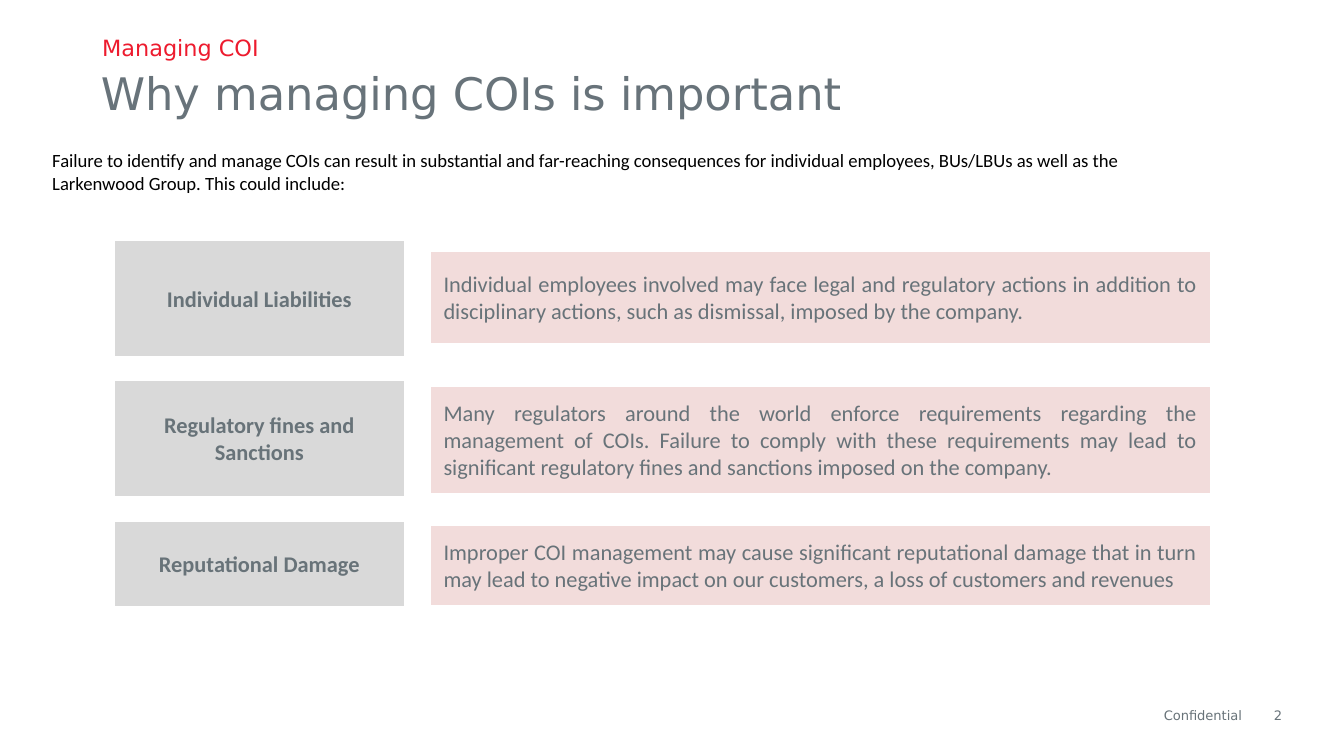
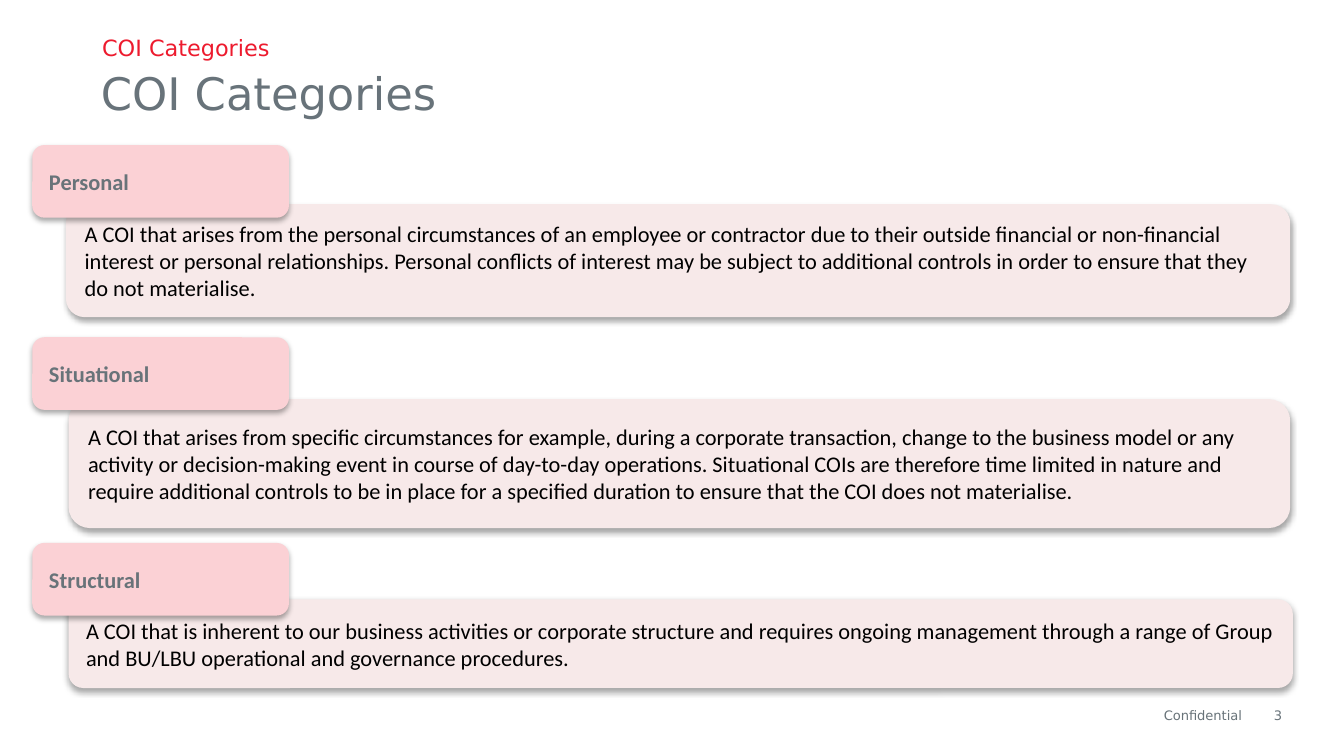
from lxml.etree import SubElement
from pptx import Presentation
from pptx.dml.color import RGBColor
from pptx.enum.shapes import MSO_SHAPE
from pptx.enum.text import MSO_ANCHOR, MSO_AUTO_SIZE, PP_ALIGN
from pptx.oxml.ns import qn
from pptx.util import Inches, Pt

SLATE = RGBColor(0x68, 0x73, 0x79)
TITLE_SLATE = RGBColor(0x68, 0x73, 0x7A)
RED = RGBColor(0xED, 0x1B, 0x2E)
BLACK = RGBColor(0, 0, 0)
LABEL_GREY = RGBColor(0xD9, 0xD9, 0xD9)
DETAIL_PINK = RGBColor(0xF2, 0xDC, 0xDB)
PANEL_PINK = RGBColor(0xF7, 0xE9, 0xE9)
TAB_PINK = RGBColor(0xFB, 0xD1, 0xD5)

HEADING_FONT = "DejaVu Sans"
BODY_FONT = "Calibri"
CELL_BORDERS = {"a:lnL": 1, "a:lnR": 1, "a:lnT": 1, "a:lnB": 3}

INTRODUCTION = (
    "Failure to identify and manage COIs can result in substantial and far-reaching "
    "consequences for individual employees, BUs/LBUs as well as the Larkenwood Group. "
    "This could include:"
)

CONSEQUENCES = [
    ("Individual Liabilities", (1.79, 0.88),
     "Individual employees involved may face legal and regulatory actions in addition to "
     "disciplinary actions, such as dismissal, imposed by the company.", (1.87, 0.7)),
    ("Regulatory fines and Sanctions", (2.83, 0.88),
     "Many regulators around the world enforce requirements regarding the management of COIs. "
     "Failure to comply with these requirements may lead to significant regulatory fines and "
     "sanctions imposed on the company.", (2.87, 0.82)),
    ("Reputational Damage", (3.88, 0.65),
     "Improper COI management may cause significant reputational damage that in turn may lead "
     "to negative impact on our customers, a loss of customers and revenues", (3.91, 0.61)),
]

CATEGORIES = [
    ("Personal", 1.08, (0.49, 1.52, 9.11, 0.84),
     "A COI that arises from the personal circumstances of an employee or contractor due to "
     "their outside financial or non-financial interest or personal relationships. Personal "
     "conflicts of interest may be subject to additional controls in order to ensure that they "
     "do not materialise."),
    ("Situational", 2.51, (0.51, 2.97, 9.09, 0.96),
     "A COI that arises from specific circumstances for example, during a corporate "
     "transaction, change to the business model or any activity or decision-making event in "
     "course of day-to-day operations. Situational COIs are therefore time limited in nature "
     "and require additional controls to be in place for a specified duration to ensure that "
     "the COI does not materialise."),
    ("Structural", 4.04, (0.51, 4.46, 9.11, 0.66),
     "A COI that is inherent to our business activities or corporate structure and requires "
     "ongoing management through a range of Group and BU/LBU operational and governance "
     "procedures."),
]


def to_inches(box):
    return [Inches(length) for length in box]


def write(text_frame, text, size, color, font=BODY_FONT, bold=False,
          align=PP_ALIGN.LEFT, line_spacing=None):
    paragraph = text_frame.paragraphs[0]
    paragraph.alignment = align
    if line_spacing:
        paragraph.line_spacing = Pt(line_spacing)
    run = paragraph.add_run()
    run.text = text
    run.font.name = font
    run.font.size = Pt(size)
    run.font.bold = bold
    run.font.color.rgb = color
    return paragraph


def clear_margins(text_frame, left=0):
    text_frame.margin_left = Inches(left)
    text_frame.margin_top = text_frame.margin_right = text_frame.margin_bottom = 0


def fill_placeholder(placeholder, box, text, size, color, line_spacing, left_margin=0):
    placeholder.left, placeholder.top, placeholder.width, placeholder.height = to_inches(box)
    text_frame = placeholder.text_frame
    clear_margins(text_frame, left_margin)
    text_frame.auto_size = MSO_AUTO_SIZE.NONE
    text_frame.vertical_anchor = MSO_ANCHOR.TOP
    paragraph = write(text_frame, text, size, color, HEADING_FONT, line_spacing=line_spacing)
    paragraph.space_before = Pt(0)
    return paragraph


def add_footer_text(slide, box, text, color, align):
    text_frame = slide.shapes.add_textbox(*to_inches(box)).text_frame
    clear_margins(text_frame)
    text_frame.word_wrap = False
    text_frame.auto_size = MSO_AUTO_SIZE.SHAPE_TO_FIT_TEXT
    write(text_frame, text, 7, color, HEADING_FONT, align=align, line_spacing=8)


def add_base_slide(presentation, title, section, number):
    slide = presentation.slides.add_slide(presentation.slide_layouts[1])
    fill_placeholder(slide.shapes.title, (0.75, 0.5, 7.87, 0.32), title, 24, TITLE_SLATE, 28)
    paragraph = fill_placeholder(slide.placeholders[1], (0.75, 0.29, 7.87, 0.16),
                                 section, 12, RED, 12, left_margin=0.01)
    paragraph.space_after = Pt(6)
    properties = paragraph._p.get_or_add_pPr()
    properties.set("marL", "0")
    properties.set("indent", "0")
    SubElement(properties, qn("a:buNone"))
    add_footer_text(slide, (8.66, 5.27, 0.6, 0.11), "Confidential", SLATE, PP_ALIGN.LEFT)
    add_footer_text(slide, (9.37, 5.27, 0.17, 0.12), str(number), TITLE_SLATE, PP_ALIGN.RIGHT)
    return slide


def add_cell_table(slide, box, text, fill, align, bold=False):
    table = slide.shapes.add_table(1, 1, *to_inches(box)).table
    table.first_row = False
    table.horz_banding = False
    cell = table.cell(0, 0)
    properties = cell._tc.get_or_add_tcPr()
    for tag, width in CELL_BORDERS.items():
        border = SubElement(properties, qn(tag), w=str(Pt(width)))
        border_fill = SubElement(border, qn("a:solidFill"))
        SubElement(border_fill, qn("a:srgbClr"), val="FFFFFF")
    cell.fill.solid()
    cell.fill.fore_color.rgb = fill
    cell.vertical_anchor = MSO_ANCHOR.MIDDLE
    write(cell.text_frame, text, 12, SLATE, bold=bold, align=align)


def add_rounded_box(slide, box, text, fill, color, bold=False):
    shape = slide.shapes.add_shape(MSO_SHAPE.ROUNDED_RECTANGLE, *to_inches(box))
    shape.fill.solid()
    shape.fill.fore_color.rgb = fill
    shape.line.fill.background()
    shape.shadow.inherit = False
    effects = shape._element.spPr.find(qn("a:effectLst"))
    shadow = SubElement(effects, qn("a:outerShdw"), blurRad=str(Pt(3.1)), dist=str(Pt(1.8)),
                        dir="5400000", rotWithShape="0")
    shadow_color = SubElement(shadow, qn("a:srgbClr"), val="000000")
    SubElement(shadow_color, qn("a:alpha"), val="35000")
    shape.text_frame.word_wrap = True
    shape.text_frame.vertical_anchor = MSO_ANCHOR.MIDDLE
    write(shape.text_frame, text, 12, color, bold=bold)


def build_importance_slide(presentation):
    slide = add_base_slide(presentation, "Why managing COIs is important", "Managing COI", 2)
    text_frame = slide.shapes.add_textbox(*to_inches((0.29, 1.06, 8.62, 0.44))).text_frame
    text_frame.word_wrap = True
    text_frame.auto_size = MSO_AUTO_SIZE.SHAPE_TO_FIT_TEXT
    write(text_frame, INTRODUCTION, 10, BLACK)
    for label, (label_top, label_height), detail, (detail_top, detail_height) in CONSEQUENCES:
        add_cell_table(slide, (0.85, label_top, 2.16, label_height), label,
                       LABEL_GREY, PP_ALIGN.CENTER, bold=True)
        add_cell_table(slide, (3.2, detail_top, 5.81, detail_height), detail,
                       DETAIL_PINK, PP_ALIGN.JUSTIFY)


def build_categories_slide(presentation):
    slide = add_base_slide(presentation, "COI Categories", "COI Categories", 3)
    for name, tab_top, panel_box, description in CATEGORIES:
        add_rounded_box(slide, panel_box, description, PANEL_PINK, BLACK)
        add_rounded_box(slide, (0.24, tab_top, 1.91, 0.54), name, TAB_PINK, SLATE, bold=True)


def main():
    presentation = Presentation()
    presentation.slide_width = Inches(10)
    presentation.slide_height = presentation.slide_width * 9 // 16
    build_importance_slide(presentation)
    build_categories_slide(presentation)
    presentation.save("out.pptx")


if __name__ == "__main__":
    main()
